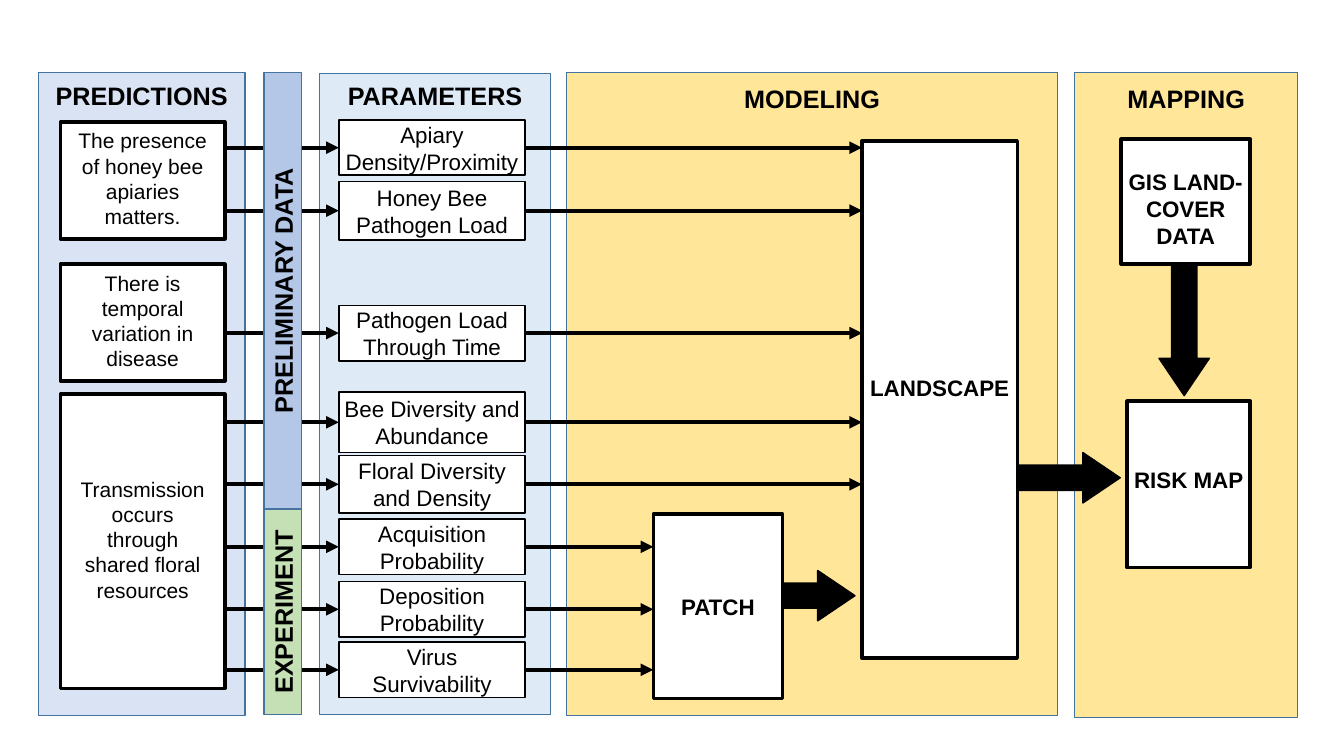
from dataclasses import dataclass

from lxml import etree
from pptx import Presentation
from pptx import util as u
from pptx.dml.color import RGBColor
from pptx.enum import shapes, text
from pptx.oxml import ns


@dataclass(frozen=True)
class Theme:
    font: str = "Arial"
    ink: str = "000000"
    paper: str = "FFFFFF"
    edge: str = "43739E"
    lavender: str = "DAE3F3"
    sky: str = "DEEBF7"
    gold: str = "FFE699"
    blue: str = "B4C7E7"
    green: str = "C5E0B4"
    heading: float = 18
    label: float = 16
    prediction: float = 15
    hairline: float = 1
    thin: float = 1.25
    thick: float = 2.5
    flow: float = 3


CELL = u.Inches(0.1)  # one column or row of the grid
LEFT, RIGHT = 1, 3  # connection sites of a rectangle


def grid(*counts):
    return [round(count * CELL) for count in counts]


class Diagram:
    def __init__(self, slide, theme):
        self.slide, self.theme = slide, theme

    def shape(self, kind, area, fill, edge, weight):
        item = self.slide.shapes.add_shape(kind, *grid(*area))
        item.shadow.inherit = False
        item.fill.solid()
        item.fill.fore_color.rgb = RGBColor.from_string(fill)
        item.line.color.rgb = RGBColor.from_string(edge)
        item.line.width = u.Pt(weight)
        return item

    def label(self, item, words, size, bold=False, inset=0.2, drop=0,
              anchor=text.MSO_ANCHOR.MIDDLE):
        """Fill a shape with centred text; drop moves it down by a margin."""
        frame = item.text_frame
        frame.text = words
        side, above, below = grid(inset, max(drop, 0), max(-drop, 0))
        frame_format = {
            "word_wrap": True, "vertical_anchor": anchor,
            "margin_left": side, "margin_right": side,
            "margin_top": above, "margin_bottom": below,
        }
        for name, value in frame_format.items():
            setattr(frame, name, value)
        font_format = {"name": self.theme.font, "size": u.Pt(size), "bold": bold}
        for paragraph in frame.paragraphs:
            paragraph.alignment = text.PP_ALIGN.CENTER
            for run in paragraph.runs:
                for name, value in font_format.items():
                    setattr(run.font, name, value)
                run.font.color.rgb = RGBColor.from_string(self.theme.ink)

    def panel(self, heading, area, fill, drop):
        item = self.shape(shapes.MSO_SHAPE.RECTANGLE, area, fill,
                          self.theme.edge, self.theme.hairline)
        self.label(item, heading, self.theme.heading, True, drop=drop,
                   anchor=text.MSO_ANCHOR.TOP)

    def strip(self, heading, area, fill):
        item = self.shape(shapes.MSO_SHAPE.RECTANGLE, area, fill,
                          self.theme.edge, self.theme.hairline)
        self.label(item, heading, self.theme.heading, True, inset=0)
        item.text_frame._txBody.bodyPr.set("vert", "vert270")

    def box(self, words, area, weight, size, **layout):
        item = self.shape(shapes.MSO_SHAPE.RECTANGLE, area, self.theme.paper,
                          self.theme.ink, weight)
        self.label(item, words, size, **layout)
        return item

    def block_arrow(self, area, rotation=0):
        item = self.shape(shapes.MSO_SHAPE.RIGHT_ARROW, area, self.theme.ink,
                          self.theme.ink, self.theme.hairline)
        item.adjustments[1] = 0.74
        item.rotation = rotation

    def flow(self, start, end, parameter, site):
        """Level arrow joined to the middle of a parameter's side."""
        level = parameter.top + parameter.height // 2
        line = self.slide.shapes.add_connector(
            shapes.MSO_CONNECTOR.STRAIGHT, start, level, end, level)
        join = line.end_connect if site == LEFT else line.begin_connect
        join(parameter, site)
        line.line.color.rgb = RGBColor.from_string(self.theme.ink)
        line.line.width = u.Pt(self.theme.flow)
        etree.SubElement(line.line._get_or_add_ln(), ns.qn("a:tailEnd"),
                         type="triangle")
        etree.SubElement(line._element.spPr, ns.qn("a:effectLst"))


def main():
    deck = Presentation()
    deck.slide_width, deck.slide_height = u.Inches(13.33), u.Inches(7.5)
    theme = Theme()
    diagram = Diagram(deck.slides.add_slide(deck.slide_layouts[6]), theme)

    # Panels
    for heading, area, fill, drop in (
        ("PREDICTIONS", (3.8, 7.2, 20.5, 63.8), theme.lavender, 0.8),
        ("PARAMETERS", (31.7, 7.3, 22.9, 63.6), theme.sky, 0.7),
        ("MODELING", (56.2, 7.2, 48.7, 63.8), theme.gold, 1.1),
        ("MAPPING", (106.6, 7.2, 22.1, 64), theme.gold, 1.1),
    ):
        diagram.panel(heading, area, fill, drop)

    # Predictions
    for words, top, height in (
        ("The presence of honey bee apiaries matters.", 12.1, 11.6),
        ("There is temporal variation in disease", 26.2, 11.6),
        ("Transmission occurs through shared floral resources", 39.1, 29.2),
    ):
        prediction = diagram.box(words, (6, top, 16.3, height), theme.thick,
                                 theme.prediction, inset=1.4, drop=-0.4)

    # Models and maps
    bold = {"size": theme.label, "weight": theme.thick, "bold": True}
    patch = diagram.box("PATCH", (64.8, 51, 12.8, 18.3), **bold)
    landscape = diagram.box("LANDSCAPE", (85.5, 14, 15.4, 51.3), drop=-2.4, **bold)
    diagram.box("GIS LAND-COVER DATA", (111.2, 13.8, 12.8, 12.4), drop=1.4, **bold)
    diagram.box("RISK MAP", (111.8, 39.8, 12.2, 16.5), drop=-1, **bold)
    diagram.block_arrow((77.6, 56.6, 7.2, 5))
    diagram.block_arrow((100.9, 44.9, 10.2, 5))
    diagram.block_arrow((110.9, 30.2, 13.1, 5), rotation=90)

    # Parameters, each fed by a prediction and feeding a model
    for words, top, height, model in (
        ("Apiary Density/Proximity", 11.9, 5.5, landscape),
        ("Honey Bee Pathogen Load", 18, 5.8, landscape),
        ("Pathogen Load Through Time", 30.3, 5.5, landscape),
        ("Bee Diversity and Abundance", 38.9, 6, landscape),
        ("Floral Diversity and Density", 45.2, 5.7, landscape),
        ("Acquisition\nProbability", 51.5, 5.5, patch),
        ("Deposition Probability", 57.7, 5.5, patch),
        ("Virus Survivability", 63.7, 5.5, patch),
    ):
        parameter = diagram.box(words, (33.6, top, 18.5, height), theme.thin,
                                theme.label, inset=1 if model is patch else 0.1)
        diagram.flow(prediction.left + prediction.width, parameter.left,
                     parameter, LEFT)
        diagram.flow(parameter.left + parameter.width, model.left,
                     parameter, RIGHT)

    # Evidence strips over the arrows
    diagram.strip("PRELIMINARY DATA", (26.2, 7.2, 3.7, 43.3), theme.blue)
    diagram.strip("EXPERIMENT", (26.2, 50.5, 3.7, 20.4), theme.green)

    deck.save("out.pptx")


if __name__ == "__main__":
    main()
